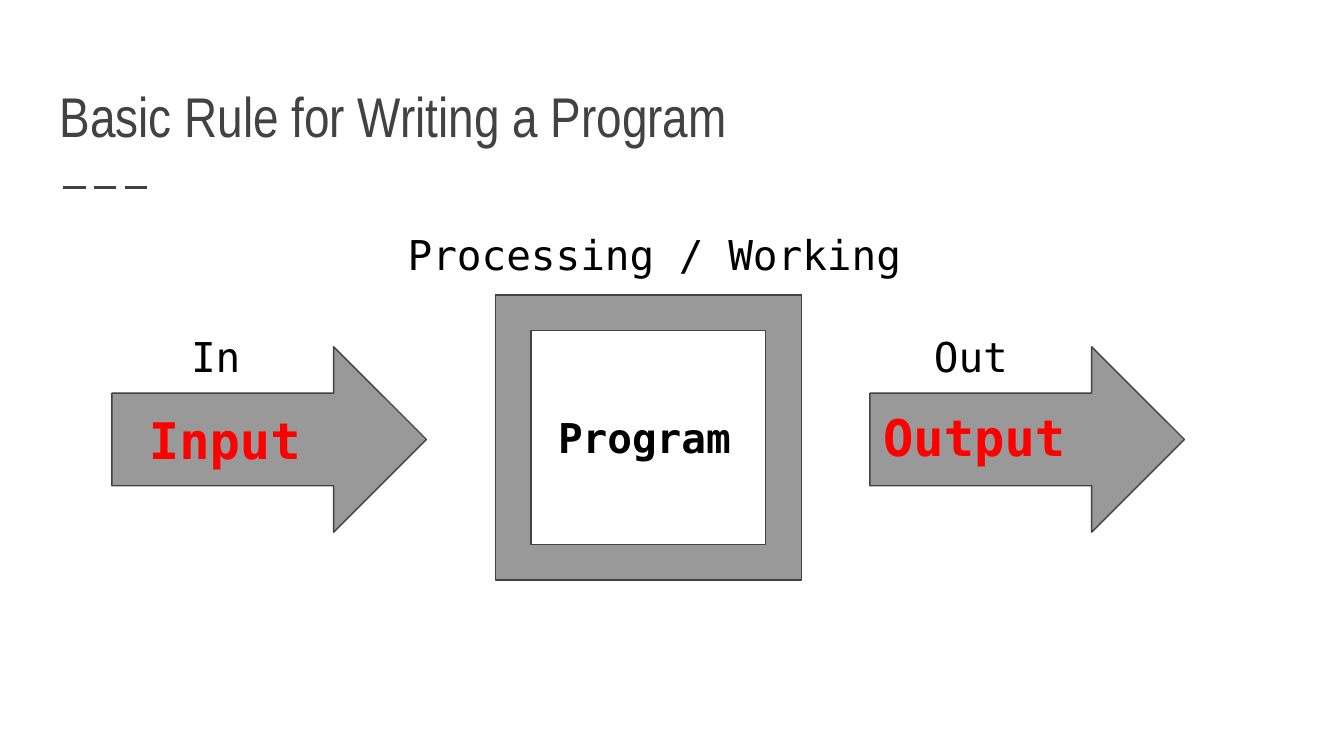
"""Build a slide that shows a program as input, processing and output."""
from dataclasses import dataclass

from lxml.etree import SubElement as Sub
from pptx import Presentation as Deck
from pptx.dml.color import RGBColor as Rgb
from pptx.enum.dml import MSO_LINE as Dash
from pptx.enum.shapes import MSO_CONNECTOR as Link, MSO_SHAPE as Form
from pptx.enum.text import MSO_ANCHOR as Anchor
from pptx.oxml.ns import qn
from pptx.slide import Slide
from pptx.util import Inches, Pt

HUES = {"dark": "424242", "gray": "999999", "red": "FF0000", "black": "000000"}
MONO = "DejaVu Sans Mono"
CELL = Inches(0.1)
COLS, ROWS = 100, 56.25


@dataclass(frozen=True)
class Box:
    col: float
    row: float
    wide: float
    high: float

    def spans(self) -> list[int]:
        return [round(n * CELL) for n in (self.col, self.row, self.wide, self.high)]


@dataclass(frozen=True)
class Label:
    text: str
    box: Box
    size: float = 22
    hue: str = "black"
    bold: bool = False
    font: str = MONO
    anchor: Anchor = Anchor.TOP


@dataclass(frozen=True)
class Block:
    form: Form
    box: Box
    bends: tuple[float, ...]


ARROWS = [Block(Form.RIGHT_ARROW, Box(col, 25.8, 23.4, 13.8), (0.5, 0.5))
          for col in (8.33, 64.73)]
BLOCKS = [Block(Form.FRAME, Box(36.87, 21.95, 22.75, 21.2), (0.125,)), *ARROWS]
LABELS = [
    Label("Basic Rule for Writing a Program", Box(3.45, 4.1, 93.1, 8), 30,
          "dark", font="Arial Narrow", anchor=Anchor.BOTTOM),
    Label("Program", Box(40.54, 29.7, 15.4, 5.7), bold=True),
    Label("Input", Box(10.1, 29.43, 15.4, 6.6), 27, "red", True),
    Label("Output", Box(64.73, 29.25, 17.6, 6.6), 27, "red", True),
    Label("Processing / Working", Box(29.35, 16.1, 41.3, 5.7)),
    Label("In", Box(13.23, 23.7, 9.1, 5.7)),
    Label("Out", Box(68.5, 23.7, 10.1, 5.7)),
]


def shade(hue: str) -> Rgb:
    return Rgb.from_string(HUES[hue])


def draw_rule(slide: Slide, left: float, right: float, row: float) -> None:
    ends = [round(n * CELL) for n in (left, row, right, row)]
    rule = slide.shapes.add_connector(Link.STRAIGHT, *ends)
    rule.line.color.rgb = shade("dark")
    rule.line.width = Pt(1.5)
    rule.line.dash_style = Dash.LONG_DASH
    Sub(rule._element.spPr, qn("a:effectLst"))


def draw_block(slide: Slide, block: Block) -> None:
    shape = slide.shapes.add_shape(block.form, *block.box.spans())
    for spot, bend in enumerate(block.bends):
        shape.adjustments[spot] = bend
    shape.shadow.inherit = False
    shape.fill.solid()
    shape.fill.fore_color.rgb = shade("gray")
    shape.line.color.rgb = shade("dark")
    shape.line.width = Pt(0.75)


def draw_label(slide: Slide, label: Label) -> None:
    frame = slide.shapes.add_textbox(*label.box.spans()).text_frame
    frame.word_wrap = True
    frame.vertical_anchor = label.anchor
    for side in ("left", "right", "top", "bottom"):
        setattr(frame, f"margin_{side}", CELL)
    frame.text = label.text
    font = frame.paragraphs[0].runs[0].font
    font.name = label.font
    font.size = Pt(label.size)
    font.bold = label.bold
    font.color.rgb = shade(label.hue)


def main() -> None:
    deck = Deck()
    deck.slide_width = round(COLS * CELL)
    deck.slide_height = round(ROWS * CELL)
    slide = deck.slides.add_slide(deck.slide_layouts[6])
    draw_rule(slide, 4.7, 11.4, 13.94)
    for block in BLOCKS:
        draw_block(slide, block)
    for label in LABELS:
        draw_label(slide, label)
    deck.save("out.pptx")


if __name__ == "__main__":
    main()
